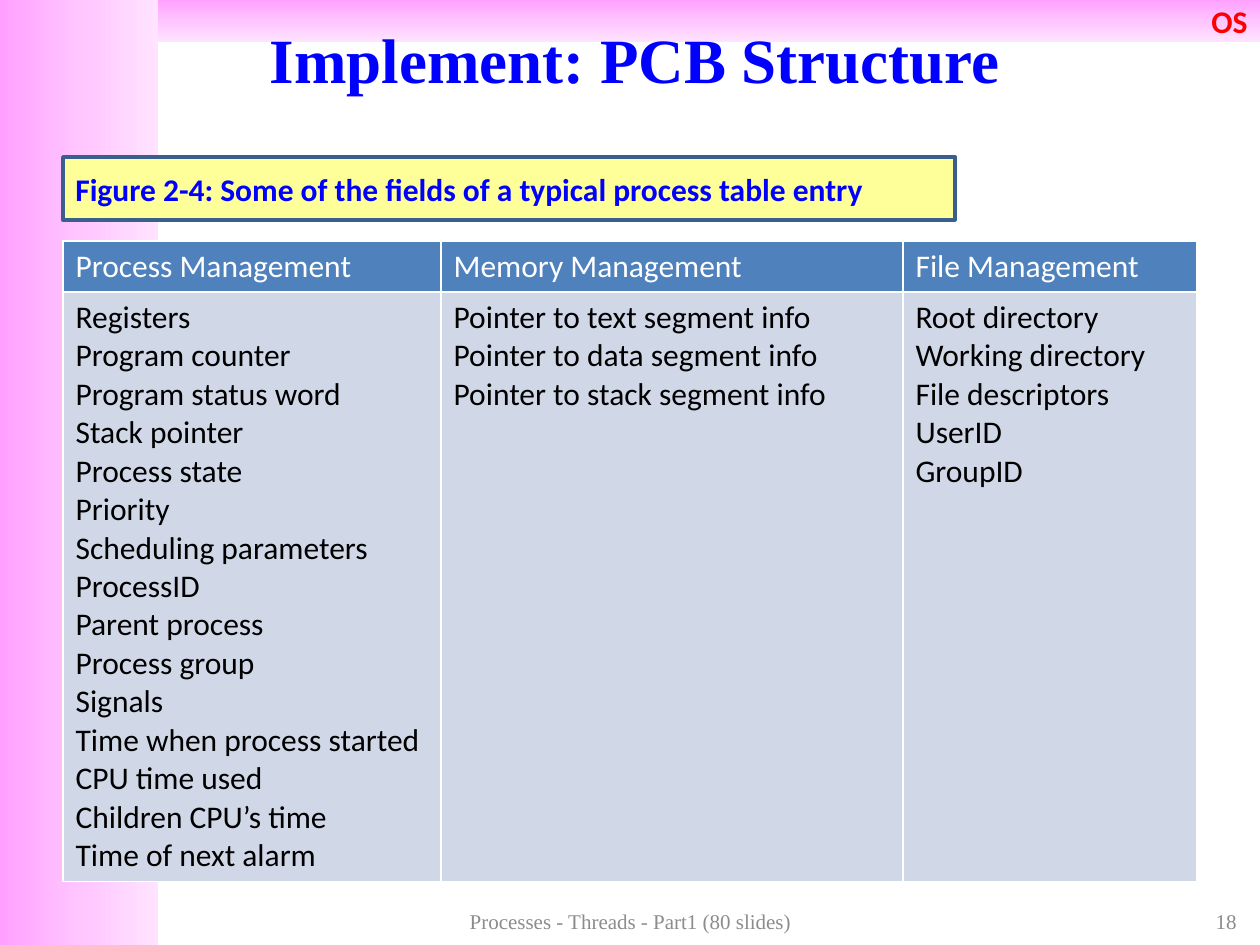
import copy

import pptx
import pptx.dml.color
import pptx.enum.shapes
import pptx.enum.text
import pptx.oxml
import pptx.oxml.ns
import pptx.util

ALIGN = pptx.enum.text.PP_ALIGN
MIDDLE = pptx.enum.text.MSO_ANCHOR.MIDDLE
RECTANGLE = pptx.enum.shapes.MSO_SHAPE.RECTANGLE
rgb = pptx.dml.color.RGBColor.from_string


def box(*lengths):
    return [round(length * 914400 / 126) for length in lengths]


def write(frame, text, size, font, color, bold=False, align=ALIGN.LEFT):
    frame.word_wrap = True
    frame.vertical_anchor = MIDDLE
    frame.text = text
    for paragraph in frame.paragraphs:
        paragraph.alignment = align
        paragraph.font.size = pptx.util.Pt(size)
        paragraph.font.name = font
        paragraph.font.bold = bold
        paragraph.font.color.rgb = rgb(color)


presentation = pptx.Presentation()
presentation.slide_width, presentation.slide_height = box(1260, 945)
slide = presentation.slides.add_slide(presentation.slide_layouts[5])

bands = []
for bounds, angle in [((0, 0, 158, 945), 0), ((158, 0, 1102, 42), 270)]:
    band = slide.shapes.add_shape(RECTANGLE, *box(*bounds))
    band.shadow.inherit = False
    band.line.fill.background()
    band.fill.gradient()
    band.fill.gradient_angle = angle
    first_stop = band.fill.gradient_stops[0]
    stop_list = band.element.spPr.find(".//" + pptx.oxml.ns.qn("a:gsLst"))
    stop_list.insert(1, copy.deepcopy(stop_list[0]))
    stops = [(0, "FFA0FF"), (0.5, "FFC5FF"), (1, "FFE3FF")]
    for stop, (position, color) in zip(band.fill.gradient_stops, stops):
        stop.position = position
        stop.color.rgb = rgb(color)
    bands.append(band)
write(bands[1].text_frame, "OS", 18, "Calibri", "FF0000", True, ALIGN.RIGHT)

title = slide.shapes.title
title.left, title.top, title.width, title.height = box(31, 0, 1208, 116)
write(title.text_frame, "Implement: PCB Structure", 36, "Times New Roman", "0000FF", True, ALIGN.CENTER)
title.element.getparent().append(title.element)

columns = [
    (378, "Process Management", [
        "Registers", "Program counter", "Program status word", "Stack pointer",
        "Process state", "Priority", "Scheduling parameters", "ProcessID",
        "Parent process", "Process group", "Signals", "Time when process started",
        "CPU time used", "Children CPU’s time", "Time of next alarm",
    ]),
    (462, "Memory Management", [
        "Pointer to text segment info", "Pointer to data segment info",
        "Pointer to stack segment info",
    ]),
    (294, "File Management", [
        "Root directory", "Working directory", "File descriptors", "UserID", "GroupID",
    ]),
]
table = slide.shapes.add_table(2, 3, *box(63, 241, 1134, 640)).table
table.rows[0].height, table.rows[1].height = box(51, 589)
for index, (width, heading, fields) in enumerate(columns):
    table.columns[index].width = box(width)[0]
    rows = [(heading, "FFFFFF", "4F81BD"), ("\n".join(fields), "000000", "D0D8E8")]
    for row, (text, color, fill) in enumerate(rows):
        cell = table.cell(row, index)
        write(cell.text_frame, text, 18, "Calibri", color)
        cell.vertical_anchor = pptx.enum.text.MSO_ANCHOR.TOP
        properties = cell._tc.get_or_add_tcPr()
        for side in ("L", "R", "T", "B"):
            properties.append(pptx.oxml.parse_xml(
                f'<a:ln{side} {pptx.oxml.ns.nsdecls("a")} w="12700"><a:solidFill>'
                f'<a:srgbClr val="FFFFFF"/></a:solidFill></a:ln{side}>'))
        cell.fill.solid()
        cell.fill.fore_color.rgb = rgb(fill)

caption = slide.shapes.add_shape(RECTANGLE, *box(63, 157, 892, 63))
caption.shadow.inherit = False
caption.fill.solid()
caption.fill.fore_color.rgb = rgb("FFFF99")
caption.line.color.rgb = rgb("3A5F8C")
caption.line.width = pptx.util.Pt(2)
write(caption.text_frame, "Figure 2-4: Some of the fields of a typical process table entry",
      18, "Calibri", "0000FF", True)

footers = [
    ("18", (955, 904, 294, 34), ALIGN.RIGHT),
    ("Processes - Threads - Part1 (80 slides)", (431, 904, 399, 34), ALIGN.CENTER),
]
for text, bounds, align in footers:
    footer = slide.shapes.add_textbox(*box(*bounds))
    write(footer.text_frame, text, 12, "Times New Roman", "8C8C8C", align=align)

presentation.save("out.pptx")
